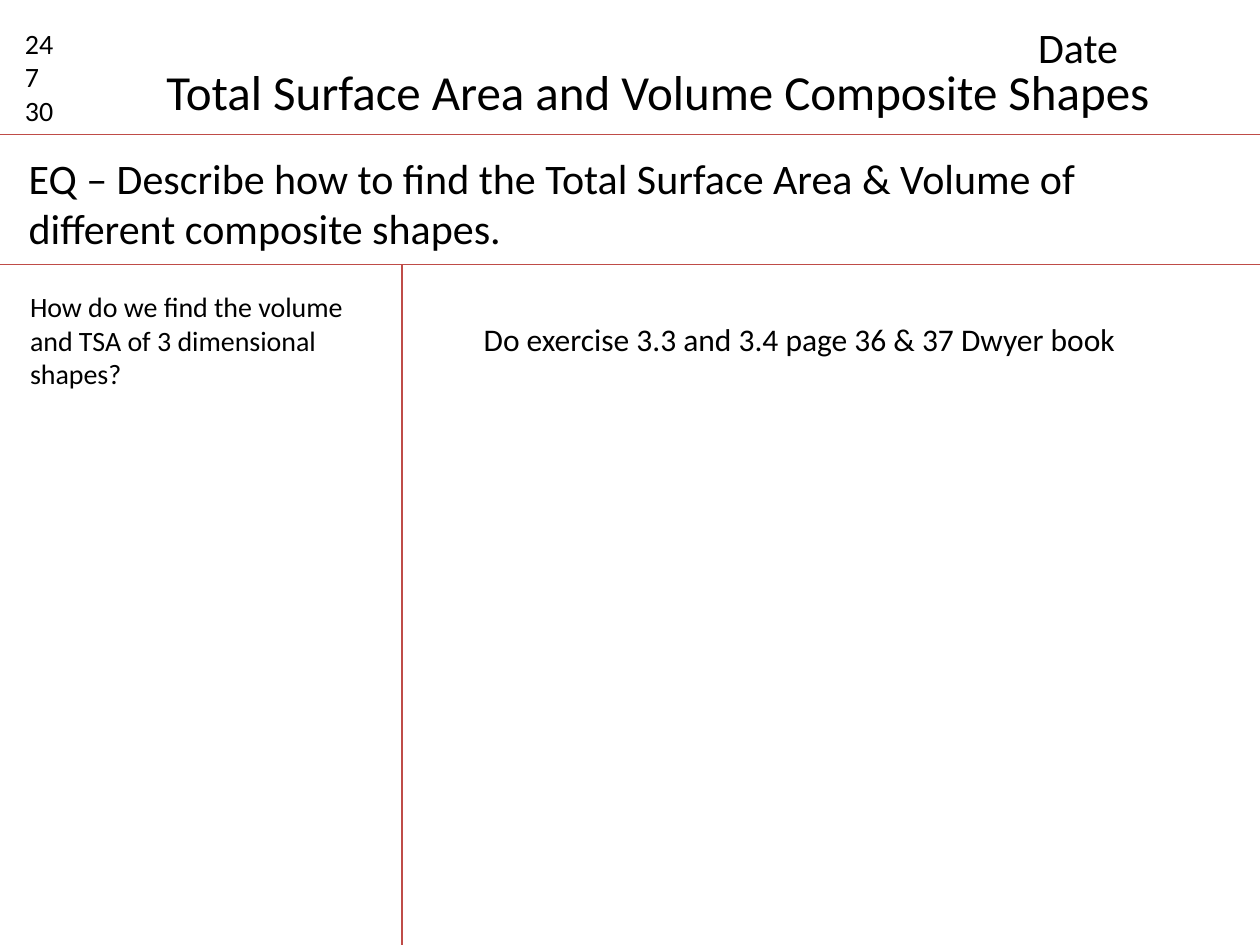
import pptx
import pptx.dml.color
import pptx.enum.shapes
import pptx.enum.text
import pptx.oxml.ns
import pptx.util
from lxml import etree
from pptx.util import Inches

THEME = {
    "font": "Calibri",
    "ink": pptx.dml.color.RGBColor.from_string("000000"),
    "rule": pptx.dml.color.RGBColor.from_string("BF4C48"),
    "title": pptx.util.Pt(28),
    "heading": pptx.util.Pt(24),
    "body": pptx.util.Pt(18),
    "note": pptx.util.Pt(16),
    "rule_width": pptx.util.Pt(0.75),
}


def write(box, lines, size, wrap=True):
    """Fill a box with one paragraph per line."""
    frame = box.text_frame
    frame.word_wrap = wrap
    frame.vertical_anchor = pptx.enum.text.MSO_ANCHOR.TOP
    for index, line in enumerate(lines):
        para = frame.add_paragraph() if index else frame.paragraphs[0]
        para.alignment = pptx.enum.text.PP_ALIGN.LEFT
        span = para.add_run()
        span.text = line
        span.font.name = THEME["font"]
        span.font.size = THEME[size]
        span.font.color.rgb = THEME["ink"]


deck = pptx.Presentation()
deck.slide_width = Inches(10)
deck.slide_height = Inches(7.5)
page = deck.slides.add_slide(deck.slide_layouts.get_by_name("Title Only"))

# Rules: under the header, under the question, and between the columns
for x1, y1, x2, y2 in [
    (0, 1.07, 10, 1.07),
    (0, 2.1, 10, 2.1),
    (3.19, 2.1, 3.19, 7.5),
]:
    rule = page.shapes.add_connector(
        pptx.enum.shapes.MSO_CONNECTOR.STRAIGHT,
        Inches(x1), Inches(y1), Inches(x2), Inches(y2),
    )
    rule.line.color.rgb = THEME["rule"]
    rule.line.width = THEME["rule_width"]
    etree.SubElement(rule.element.spPr, pptx.oxml.ns.qn("a:effectLst"))

# Title
title = page.shapes.title
title.left, title.top = Inches(1.22), Inches(0.44)
title.width, title.height = Inches(8.09), Inches(0.57)
write(title, ["Total Surface Area and Volume Composite Shapes"], "title", wrap=False)

# Header numbers, date, essential question, cue column and task
for place, lines, size, wrap in [
    ((0.1, 0.16, 0.63, 0.91), ["24", "7", "30"], "note", True),
    ((8.14, 0.12, 1.73, 0.5), ["Date"], "heading", True),
    ((0.13, 1.16, 9.43, 0.91),
     ["EQ – Describe how to find the Total Surface Area & Volume of "
      "different composite shapes."], "heading", True),
    ((0.14, 2.25, 3.03, 0.91),
     ["How do we find the volume and TSA of 3 dimensional shapes?"], "note", True),
    ((3.74, 2.49, 5.28, 0.4),
     ["Do exercise 3.3 and 3.4 page 36 & 37 Dwyer book"], "body", False),
]:
    box = page.shapes.add_textbox(*map(Inches, place))
    write(box, lines, size, wrap)

deck.save("out.pptx")
